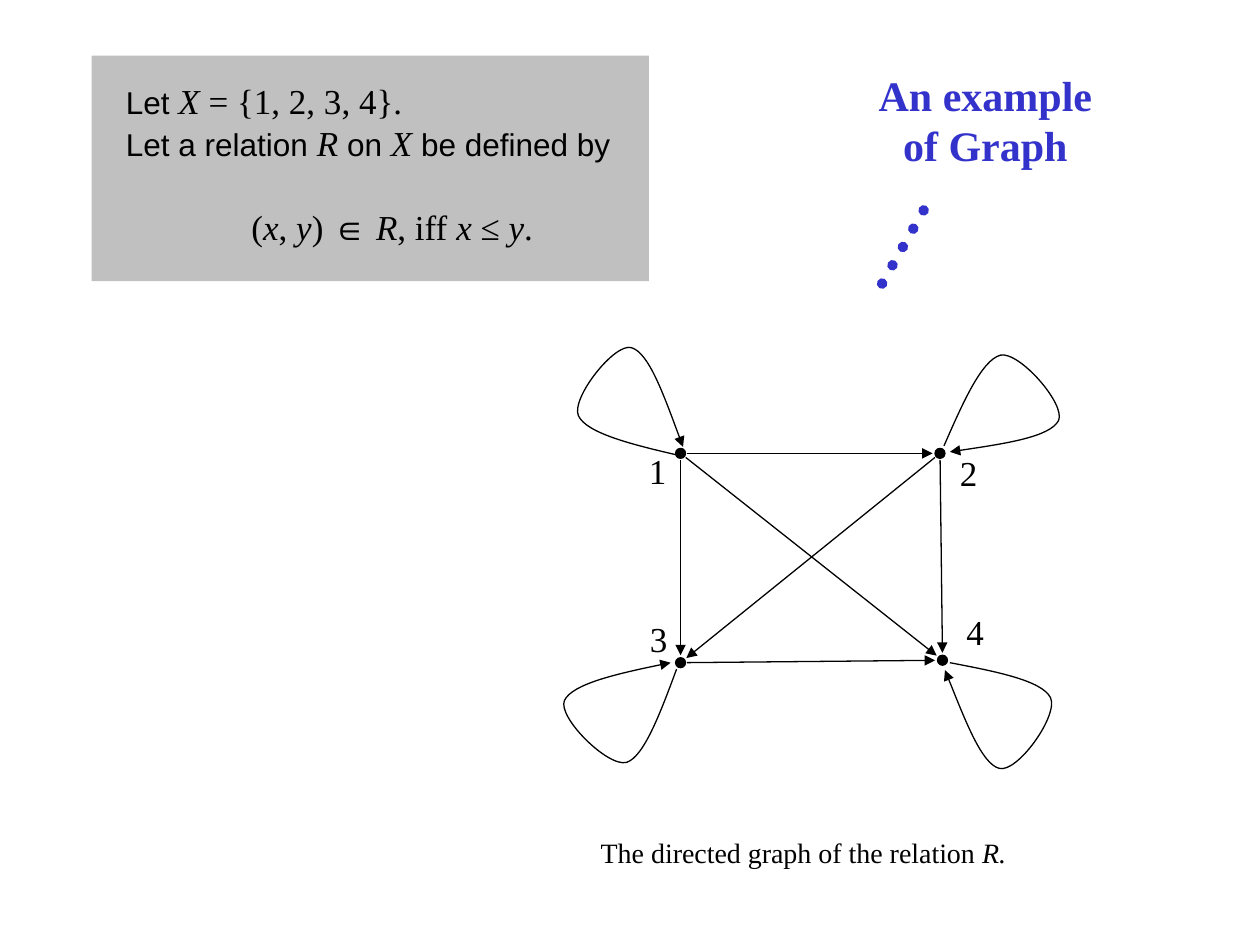
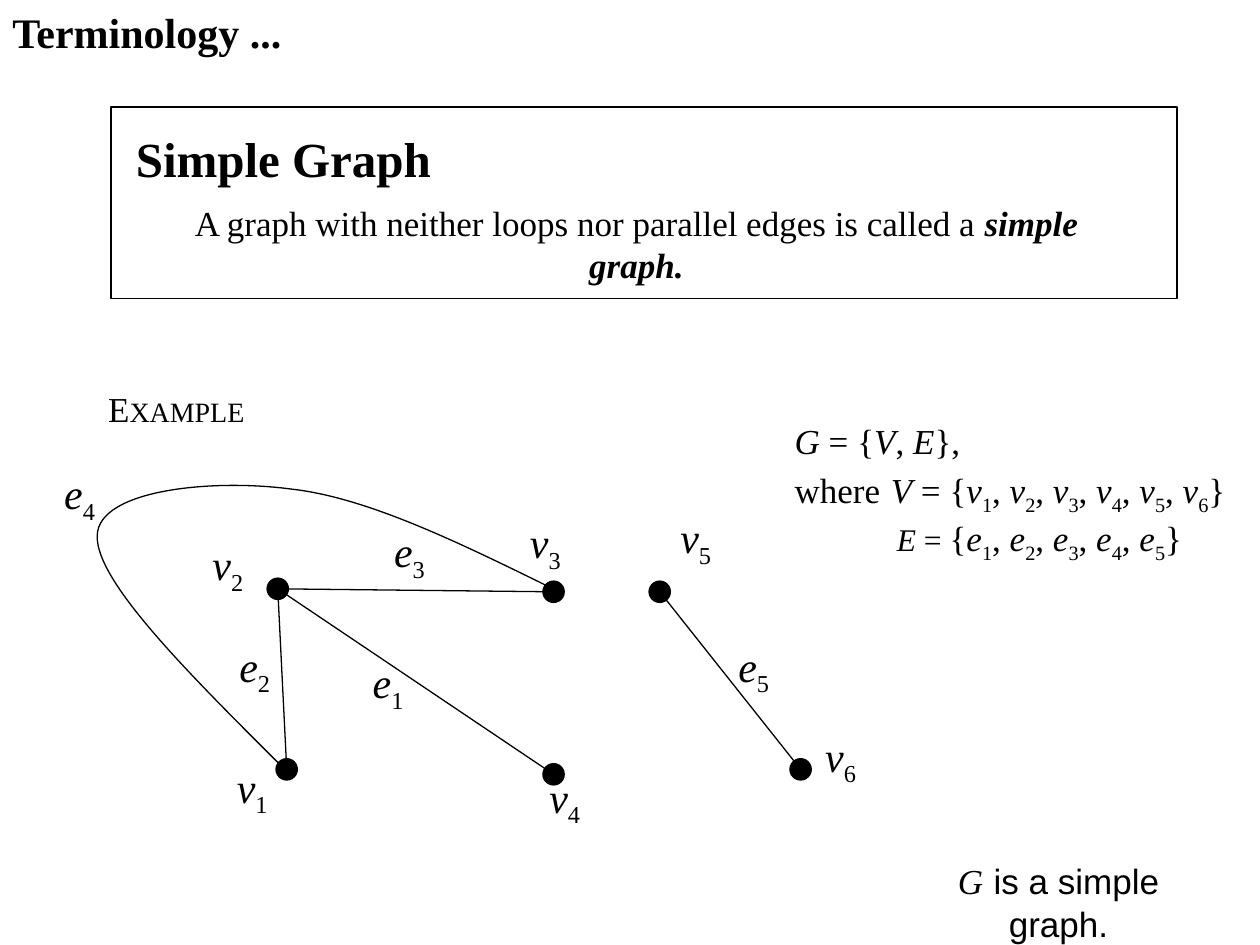
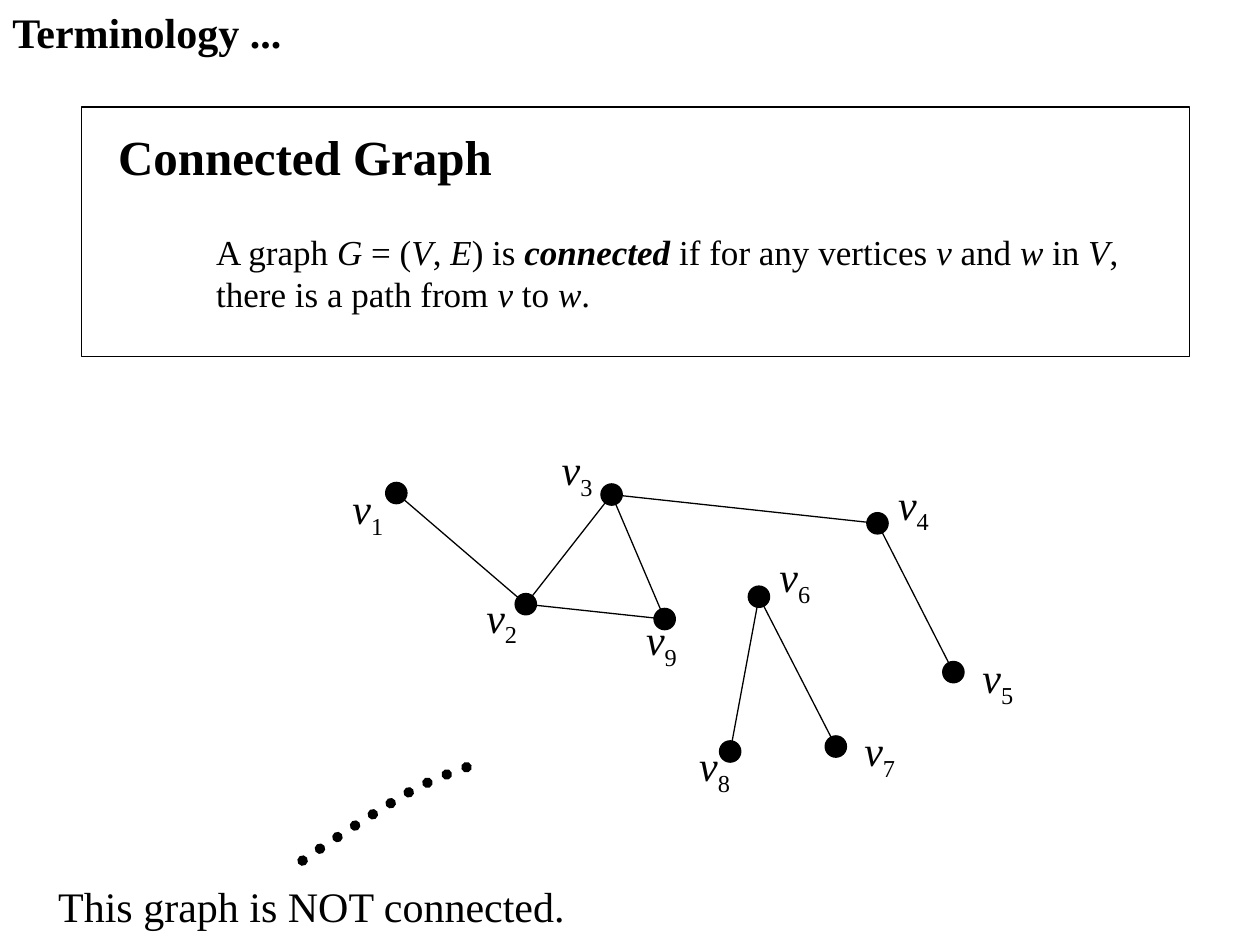
"""Three slides on graphs: a relation, simple graphs and connected graphs."""
from itertools import groupby
from math import hypot

from lxml import etree
from pptx import Presentation
from pptx.dml.color import RGBColor
from pptx.enum.dml import MSO_LINE
from pptx.enum.shapes import MSO_CONNECTOR, MSO_SHAPE
from pptx.enum.text import MSO_ANCHOR, PP_ALIGN
from pptx.oxml.ns import qn
from pptx.util import Cm, Pt

RECT, OVAL = MSO_SHAPE.RECTANGLE, MSO_SHAPE.OVAL
STRAIGHT, DOTTED = MSO_CONNECTOR.STRAIGHT, MSO_LINE.ROUND_DOT
LEFT, CENTER = PP_ALIGN.LEFT, PP_ALIGN.CENTER
TOP, MIDDLE = MSO_ANCHOR.TOP, MSO_ANCHOR.MIDDLE
BLACK, GREY, BLUE = "000000", "C0C0C0", "3333CC"
SERIF, SANS = "Times New Roman", "Arial"
ITALIC, BOLD, SUB = "~#_"
INSET = 0.25


def rgb(value):
    """Turn a hex string into a colour."""
    return RGBColor.from_string(value)


def marked(text):
    """Yield each letter with the marks that are switched on for it."""
    marks = frozenset()
    for ch in text:
        if ch in (ITALIC, BOLD, SUB):
            marks ^= {ch}
        else:
            yield ch, marks


def add_runs(p, text, size=None, font=None):
    """Add marked text to a paragraph as formatted runs."""
    for marks, group in groupby(marked(text), key=lambda pair: pair[1]):
        r = p.add_run()
        r.text = "".join(ch for ch, _ in group)
        if ITALIC in marks:
            r.font.italic = True
        if BOLD in marks:
            r.font.bold = True
        if SUB in marks:
            r._r.get_or_add_rPr().set("baseline", "-25000")
        if size:
            r.font.size = Pt(size)
        if font:
            r.font.name = font


def add_text(s, box, paragraphs, size=20, color=BLACK, align=LEFT,
             anchor=TOP, bold=None, indents=()):
    """Add a text box; a paragraph is a string or a list of run tuples."""
    tf = s.shapes.add_textbox(*map(Cm, box)).text_frame
    tf.word_wrap = True
    tf.vertical_anchor = anchor
    tf.margin_left = Cm(INSET if align == LEFT else 0)
    tf.margin_right = 0
    for i, parts in enumerate(paragraphs):
        p = tf.paragraphs[0] if i == 0 else tf.add_paragraph()
        p.alignment = align
        if indents:
            p._p.get_or_add_pPr().set("marL", str(Cm(indents[i])))
        p.font.size, p.font.name, p.font.bold = Pt(size), SERIF, bold
        p.font.color.rgb = rgb(color)
        for part in [(parts,)] if isinstance(parts, str) else parts:
            add_runs(p, *part)
    return tf


def add_block(s, kind, box, fill=None, line=None):
    """Add a preset shape with the given fill and outline."""
    sp = s.shapes.add_shape(kind, *map(Cm, box))
    sp.shadow.inherit = False
    if fill:
        sp.fill.solid()
        sp.fill.fore_color.rgb = rgb(fill)
    else:
        sp.fill.background()
    if line:
        style_line(sp, line)
    else:
        sp.line.fill.background()


def style_line(sp, color=BLACK, arrow=False, dotted=False):
    """Style an outline as thin, arrowed or made of round dots."""
    sp.line.color.rgb = rgb(color)
    sp.line.width = Pt(6 if dotted else 0.75)
    ln = sp.line._get_or_add_ln()
    if dotted:
        sp.line.dash_style = DOTTED
        ln.set("cap", "rnd")
    if arrow:
        etree.SubElement(ln, qn("a:tailEnd"), type="triangle")


def add_line(s, start, end, **style):
    """Add a straight connector between two points."""
    c = s.shapes.add_connector(STRAIGHT, *map(Cm, (*start, *end)))
    style_line(c, **style)
    etree.SubElement(c._element.spPr, qn("a:effectLst"))


def add_curve(s, origin, points, **style):
    """Add a Bézier curve: a start, then two controls and an end per piece."""
    x, y = origin
    start, *rest = [(Cm(x + dx), Cm(y + dy)) for dx, dy in points]
    builder = s.shapes.build_freeform(*start)
    builder.add_line_segments(rest, close=False)
    sp = builder.convert_to_shape()
    sp.shadow.inherit = False
    sp.fill.background()
    style_line(sp, **style)
    segments = sp._element.xpath(".//a:lnTo")
    for i in range(0, len(segments), 3):
        bezier = etree.Element(qn("a:cubicBezTo"))
        segments[i].addprevious(bezier)
        for segment in segments[i:i + 3]:
            bezier.append(segment[0])
            segment.getparent().remove(segment)


def draw_graph(s, origin, vertices, edges, dot, prefix="", directed=False):
    """Draw labelled vertices (x, y, label x, label y) and their edges."""
    x, y = origin
    start_gap, end_gap = (0.13, 0.15) if directed else (0, 0)
    for a, b in edges.split():
        (ax, ay), (bx, by) = vertices[a][:2], vertices[b][:2]
        length = hypot(bx - ax, by - ay)
        ux, uy = (bx - ax) / length, (by - ay) / length
        add_line(s, (x + ax + ux * start_gap, y + ay + uy * start_gap),
                 (x + bx - ux * end_gap, y + by - uy * end_gap), arrow=directed)
    for name, (vx, vy, lx, ly) in vertices.items():
        add_block(s, OVAL, (x + vx - dot / 2, y + vy - dot / 2, dot, dot), BLACK, BLACK)
        if prefix:
            add_label(s, origin, prefix, name, lx, ly)
        else:
            add_text(s, (x + lx, y + ly, 0.86, 1.09), [name])


def add_label(s, origin, letter, index, dx, dy):
    """Add a letter with a subscript."""
    add_text(s, (origin[0] + dx, origin[1] + dy, 1.17, 1.27),
             [f"~{letter}~_{index}_"], 24, align=CENTER, anchor=MIDDLE)


def relation_panel(s, box):
    """Define the relation on a grey panel."""
    x, y, w, h = box
    add_block(s, RECT, box, GREY)
    tf = add_text(s, (x - 0.83, y + 0.35, w + 0.3, 3.63), [
        [("Let ", 18, SANS), ("~X~ = {1, 2, 3, 4}.",)],
        [("Let a relation", 18, SANS), (" ~R ~",), ("on ", 18, SANS),
         ("~X ~",), ("be defined by", 18, SANS)],
        "(~x~, ~y~) ∈ ~R~, iff ~x~ ≤ ~y~.",
    ], indents=(1.27, 1.27, 3.8))
    tf.paragraphs[2].space_before = Pt(24)


def relation_graph(s, origin):
    """Draw the directed graph with a loop at each vertex."""
    vertices = {
        "1": (2.72, 2.34, 1.83, 2.14), "2": (7.95, 2.34, 8.1, 2.17),
        "3": (2.72, 6.56, 1.85, 5.52), "4": (8, 6.51, 8.23, 5.39),
    }
    loops = {
        "1": [(-0.08, 0.03), (-0.99, -0.18), (-1.9, -0.41), (-2.06, -0.76),
              (-2.21, -1.12), (-1.32, -2.24), (-0.99, -2.13),
              (-0.64, -2.03), (-0.3, -1.07), (0.05, -0.13)],
        "2": [(0.08, -0.15), (0.46, -1.02), (0.84, -1.88), (1.22, -1.98),
              (1.6, -2.06), (2.54, -0.99), (2.39, -0.66),
              (2.21, -0.33), (1.22, -0.18), (0.2, -0.03)],
        "3": [(-0.08, 0.13), (-0.41, 1.02), (-0.74, 1.9), (-1.09, 2.01),
              (-1.47, 2.11), (-2.49, 1.09), (-2.34, 0.76),
              (-2.18, 0.43), (-1.19, 0.2), (-0.2, 0)],
        "4": [(0.15, 0.05), (1.09, 0.23), (2.01, 0.41), (2.18, 0.76),
              (2.34, 1.12), (1.5, 2.29), (1.14, 2.18),
              (0.79, 2.08), (0.43, 1.14), (0.05, 0.2)],
    }
    draw_graph(s, origin, vertices, "12 13 14 23 24 34", 0.2, directed=True)
    for name, points in loops.items():
        vx, vy = vertices[name][:2]
        add_curve(s, (origin[0] + vx, origin[1] + vy), points, arrow=True)


def relation_slide(s):
    """Show a relation and its directed graph."""
    relation_panel(s, (1.85, 1.12, 11.23, 4.55))
    add_text(s, (17.35, 1.27, 5.03, 2.29), ["An example", "of Graph"], 24,
             BLUE, CENTER, bold=True)
    add_line(s, (18.62, 4.24), (17.78, 5.72), color=BLUE, dotted=True)
    relation_graph(s, (11, 6.8))
    add_text(s, (11.86, 16.71, 8.74, 0.94),
             ["The directed graph of the relation ~R.~"], 16)


def definition(s, box, heading, heading_at, body, body_box, align):
    """Frame a definition under the running title of the slide."""
    x, y = box[:2]
    add_text(s, (0, 0, 6.02, 1.27), ["Terminology ..."], 24, bold=True)
    add_block(s, RECT, box, line=BLACK)
    add_text(s, (x + heading_at[0], y + heading_at[1], 10, 1.45), [heading],
             28, anchor=MIDDLE, bold=True)
    bx, by, bw, bh = body_box
    add_text(s, (x + bx, y + by, bw, bh), body, align=align, anchor=MIDDLE)


def simple_graph(s, origin):
    """Draw the simple graph with its named edges."""
    vertices = {
        "1": (4.78, 6.51, 3.5, 6.29), "2": (4.6, 2.87, 3.01, 1.8),
        "3": (10.16, 2.93, 9.41, 1.36), "4": (10.16, 6.61, 9.8, 6.49),
        "5": (12.3, 2.93, 12.44, 1.26), "6": (15.14, 6.51, 15.36, 5.66),
    }
    edge_labels = [(6.24, 4.18), (3.55, 3.85), (6.67, 1.54), (0.02, 0.37), (13.61, 3.85)]
    draw_graph(s, origin, vertices, "24 21 23 56", 0.43, "v")
    add_curve(s, origin, [
        (4.72, 6.49), (2.84, 4.61), (0.93, 2.73), (0.96, 1.8), (0.98, 0.86),
        (3.32, 0.65), (4.87, 0.86), (6.42, 1.03), (8.32, 1.97), (10.23, 2.91)])
    for i, (dx, dy) in enumerate(edge_labels, 1):
        add_label(s, origin, "e", i, dx, dy)


def members(letter, count):
    """List a letter with the subscripts 1 to count."""
    return ", ".join(f"~{letter}~_{i}_" for i in range(1, count + 1))


def simple_slide(s):
    """Define a simple graph and give an example."""
    definition(s, (2.24, 2.16, 21.49, 3.86), "Simple Graph", (0.25, 0.3),
               ["A graph with neither loops nor parallel edges is called a "
                "~#simple graph.#~"], (0.69, 2.21, 19.8, 1.09), CENTER)
    add_text(s, (1.93, 7.7, 3.25, 1.09), [[("E",), ("XAMPLE", 16)]],
             align=CENTER, anchor=MIDDLE)
    add_text(s, (15.77, 8.43, 9.32, 2.97), [
        "~G~ = {~V~, ~E~},",
        [("where",), (" ", 24), ("~V~ = {" + members("v", 6) + "}",)],
        [("~E~ = ", 18), ("{" + members("e", 5) + "}",)],
    ], anchor=MIDDLE, indents=(0, 0, 2.06))
    simple_graph(s, (1, 9))
    add_text(s, (18.54, 17.48, 5.6, 1.27),
             [[("~G~",), (" ", 24), ("is a simple graph.", 20, SANS)]],
             align=CENTER, anchor=MIDDLE)


def connected_slide(s):
    """Define a connected graph and show one that is not."""
    definition(s, (1.65, 2.16, 22.33, 5.03), "Connected Graph", (0.48, 0.25), [
        "A graph ~G~ = (~V~, ~E~) is ~#connected#~ if for any vertices "
        "~v~ and ~w~ in ~V~,",
        "there is a path from ~v~ to ~w~.",
    ], (2.46, 2.36, 18.87, 1.96), LEFT)
    vertices = {
        "1": (1.19, 1.14, 0.03, 0.88), "2": (3.8, 3.38, 2.73, 3.06),
        "3": (5.53, 1.17, 4.25, 0.09), "4": (10.89, 1.75, 11.03, 0.78),
        "5": (12.42, 4.75, 12.73, 4.28), "6": (8.5, 3.23, 8.64, 2.25),
        "7": (10.05, 6.25, 10.35, 5.75), "8": (7.92, 6.35, 7.02, 6.06),
        "9": (6.6, 3.68, 5.95, 3.52),
    }
    draw_graph(s, (6.8, 8.8), vertices, "12 23 29 39 34 45 68 67", 0.43, "v")
    add_curve(s, (6.1, 15.34), [
        (0, 2.01), (0.78, 1.47), (1.57, 0.97), (2.18, 0.61),
        (2.79, 0.28), (3.25, 0.15), (3.68, 0)], dotted=True)
    add_text(s, (0.91, 17.63, 10.74, 1.27), ["This graph is NOT connected."],
             24, align=CENTER, anchor=MIDDLE)


def main():
    """Build and save the presentation."""
    prs = Presentation()
    prs.slide_width, prs.slide_height = Cm(25.4), Cm(19.05)
    for build in (relation_slide, simple_slide, connected_slide):
        build(prs.slides.add_slide(prs.slide_layouts[6]))
    prs.save("out.pptx")


if __name__ == "__main__":
    main()
